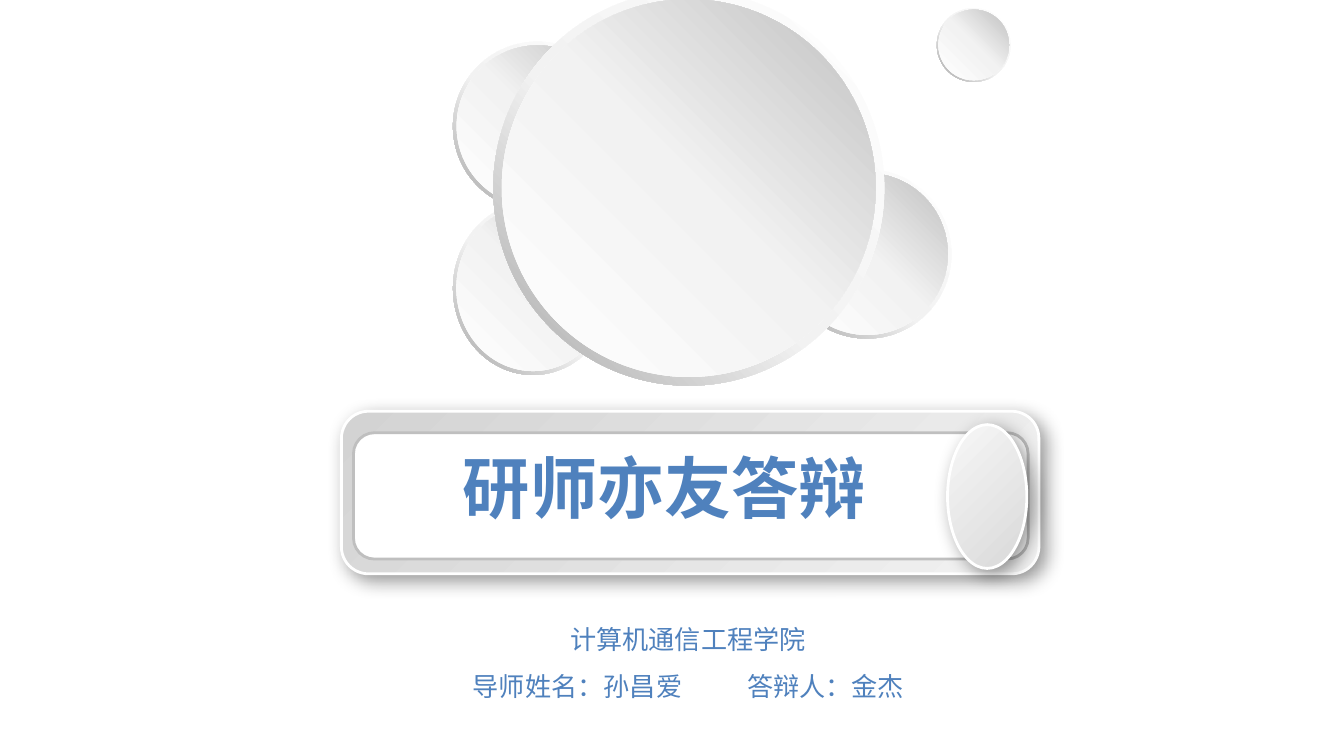
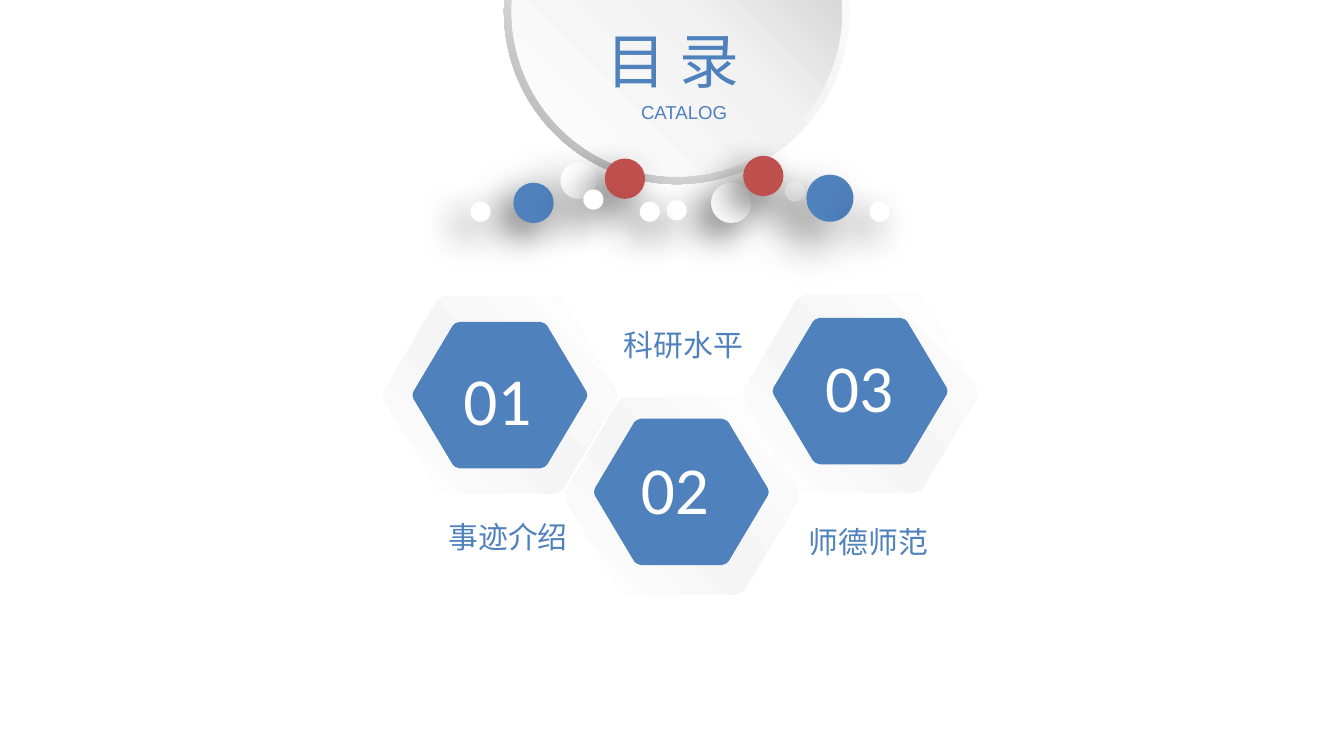
import lxml.etree
import pptx
import pptx.dml.color
import pptx.enum.shapes
import pptx.enum.text
import pptx.oxml.ns
import pptx.util

Inches = pptx.util.Inches
Pt = pptx.util.Pt
SHAPE = pptx.enum.shapes.MSO_SHAPE
ALIGN = pptx.enum.text.PP_ALIGN
ANCHOR = pptx.enum.text.MSO_ANCHOR
qn = pptx.oxml.ns.qn
rgb = pptx.dml.color.RGBColor.from_string

COLORS = {
    "white": "FFFFFF",
    "blue": "4F81BD",
    "red": "C0504D",
    "edge": "BFBFBF",
    "shadow": "000000",
}
GRADIENTS = {
    "rim": (135, [(0, "FFFFFF"), (55, "F2F2F2"), (100, "A6A6A6")]),
    "disc": (315, [(0, "FFFFFF"), (51, "F2F2F2"), (100, "BFBFBF")]),
    "plate": (45, [(0, "D3D3D3"), (100, "F2F2F2")]),
    "knob": (45, [(0, "F7F7F7"), (100, "D9D9D9")]),
    "hexagon": (315, [(0, "FFFFFF"), (47, "F5F5F5"), (100, "FFFFFF")]),
}


def paint(shape, fill, line=None, shadow=None):
    if fill in GRADIENTS:
        angle, stops = GRADIENTS[fill]
        shape.fill.gradient()
        shape.fill.gradient_angle = 360 - angle
        stop_list = shape.element.spPr.find(qn("a:gradFill")).find(qn("a:gsLst"))
        for stop in list(stop_list):
            stop_list.remove(stop)
        for position, color in stops:
            stop = lxml.etree.SubElement(stop_list, qn("a:gs"), pos=str(position * 1000))
            lxml.etree.SubElement(stop, qn("a:srgbClr"), val=color)
    else:
        shape.fill.solid()
        shape.fill.fore_color.rgb = rgb(COLORS[fill])
    if line:
        shape.line.color.rgb = rgb(COLORS[line])
        shape.line.width = Pt(1.5)
    else:
        shape.line.fill.background()
    shape.shadow.inherit = False
    if shadow:
        alpha, blur, distance, angle = shadow
        effects = shape.element.spPr.find(qn("a:effectLst"))
        outer = lxml.etree.SubElement(
            effects, qn("a:outerShdw"), blurRad=str(Pt(blur)), dist=str(Pt(distance)),
            dir=str(angle * 60000), algn="ctr", rotWithShape="0")
        color = lxml.etree.SubElement(outer, qn("a:srgbClr"), val=COLORS["shadow"])
        lxml.etree.SubElement(color, qn("a:alpha"), val=str(alpha * 1000))


def write(box, place, text, size, font="Arial", color="blue", align=ALIGN.LEFT, bold=False):
    box.left, box.top, box.width, box.height = [Inches(length) for length in place]
    frame = box.text_frame
    frame.text = text
    frame.word_wrap = True
    frame.auto_size = pptx.enum.text.MSO_AUTO_SIZE.NONE
    frame.vertical_anchor = ANCHOR.TOP
    for para in frame.paragraphs:
        para.alignment = align
        for span in para.runs:
            span.font.size = Pt(size)
            span.font.name = font
            span.font.bold = bold
            span.font.color.rgb = rgb(COLORS[color])
            east_asian = lxml.etree.SubElement(span.font._element, qn("a:ea"))
            east_asian.set("typeface", font)


deck = pptx.Presentation()
deck.slide_width = Inches(10)
deck.slide_height = deck.slide_width * 9 // 16
cover, catalog = [deck.slides.add_slide(deck.slide_layouts[5]) for _ in range(2)]

medallions = [
    (cover, 3.37, 0.31, 1.26, 1.26),
    (cover, 5.82, 1.26, 1.26, 1.26),
    (cover, 3.37, 1.5, 1.19, 1.29),
    (cover, 3.67, -0.07, 2.91, 2.94),
    (cover, 6.97, 0.06, 0.55, 0.55),
    (catalog, 3.75, -1.2, 2.57, 2.57),
]
inset = 0.022
for page, left, top, width, height in medallions:
    rim = page.shapes.add_shape(
        SHAPE.DONUT, Inches(left), Inches(top), Inches(width), Inches(height))
    rim.adjustments[0] = 0.049
    paint(rim, "rim")
    disc = page.shapes.add_shape(
        SHAPE.OVAL, Inches(left + inset * width), Inches(top + inset * height),
        Inches(width * (1 - 2 * inset)), Inches(height * (1 - 2 * inset)))
    paint(disc, "disc")

plate_shadow = (40, 10, 4, 45)
for kind, place, fill, line, shadow in [
    (SHAPE.ROUNDED_RECTANGLE, (2.54, 3.06, 5.19, 1.21), "plate", "white", plate_shadow),
    (SHAPE.ROUNDED_RECTANGLE, (2.63, 3.22, 5.02, 0.94), "white", "edge", None),
    (SHAPE.OVAL, (7.05, 3.16, 0.59, 1.07), "knob", "white", plate_shadow),
]:
    part = cover.shapes.add_shape(kind, *[Inches(length) for length in place])
    paint(part, fill, line, shadow)

title = cover.shapes.title
write(title, (1.46, 3.27, 6.97, 0.71), "研师亦友答辩", 36, align=ALIGN.CENTER, bold=True)
cover.shapes.element.append(title.element)

people = cover.shapes.add_textbox(0, 0, 0, 0)
write(people, (2.34, 4.47, 5.56, 0.77),
      "计算机通信工程学院\n\t导师姓名：孙昌爱\t答辩人：金杰", 14, align=ALIGN.CENTER)
for para in people.text_frame.paragraphs:
    para.line_spacing = 1.5
names = people.text_frame.paragraphs[1]
names.alignment = ALIGN.LEFT
tabs = lxml.etree.SubElement(names._p.get_or_add_pPr(), qn("a:tabLst"))
for position in (1.08, 3.12):
    lxml.etree.SubElement(tabs, qn("a:tab"), pos=str(Inches(position)), algn="l")

near_shadow = (60, 20, 10, 135)
far_shadow = (50, 25, 15, 135)
beads = [
    (5.29, 1.36, 0.3, "white", near_shadow),
    (4.96, 1.49, 0.15, "white", near_shadow),
    (5.84, 1.35, 0.15, "white", near_shadow),
    (4.17, 1.21, 0.27, "white", far_shadow),
    (4.5, 1.18, 0.3, "red", near_shadow),
    (4.76, 1.5, 0.15, "white", near_shadow),
    (6, 1.3, 0.35, "blue", far_shadow),
    (3.82, 1.36, 0.3, "blue", near_shadow),
    (3.5, 1.5, 0.15, "white", near_shadow),
    (5.53, 1.16, 0.3, "red", near_shadow),
    (4.34, 1.41, 0.15, "white", near_shadow),
    (6.47, 1.5, 0.15, "white", near_shadow),
]
for left, top, size, fill, shadow in beads:
    bead = catalog.shapes.add_shape(
        SHAPE.OVAL, Inches(left), Inches(top), Inches(size), Inches(size))
    paint(bead, fill, shadow=shadow)

title = catalog.shapes.title
write(title, (4.41, 0.13, 1.35, 0.64), "目 录", 32, font="Noto Sans CJK SC")
catalog.shapes.element.append(title.element)

subtitle = catalog.shapes.add_textbox(0, 0, 0, 0)
write(subtitle, (4.34, 0.62, 1.5, 0.42), "CATALOG", 10, align=ALIGN.CENTER)
frame = subtitle.text_frame
frame.vertical_anchor = ANCHOR.MIDDLE
frame.margin_left = frame.margin_right = Inches(0.07)
frame.margin_top = frame.margin_bottom = Inches(0.04)

corner = [(1, 0), (0.99, 0.05), (0.54, 0.95), (0.51, 0.98), (0.46, 1)]
outline = []
for flip_x, flip_y, step in [(1, 1, 1), (-1, 1, -1), (-1, -1, 1), (1, -1, -1)]:
    outline += [(flip_x * x, flip_y * y) for x, y in corner[::step]]

sections = [
    ("03", 6.4, 2.93, 2.91, (6.04, 2.52, 0.85, 0.71)),
    ("01", 3.72, 2.94, 2.94, (3.35, 2.62, 0.88, 0.71)),
    ("02", 5.07, 3.69, 3.66, (4.67, 3.28, 0.86, 0.71)),
]
for number, center_x, frame_y, core_y, number_place in sections:
    for width, height, center_y, fill in [
        (1.75, 1.49, frame_y, "white"),
        (1.74, 1.47, frame_y, "hexagon"),
        (1.3, 1.09, core_y, "blue"),
    ]:
        points = [(Inches(center_x + x * width / 2), Inches(center_y + y * height / 2))
                  for x, y in outline]
        builder = catalog.shapes.build_freeform(*points[0])
        builder.add_line_segments(points[1:], close=True)
        paint(builder.convert_to_shape(), fill)
    write(catalog.shapes.add_textbox(0, 0, 0, 0), number_place, number, 36,
          font="Calibri", color="white")

for label, place, align in [
    ("事迹介绍", (3.24, 3.81, 1.12, 0.37), ALIGN.LEFT),
    ("科研水平", (4.42, 2.38, 1.33, 0.37), ALIGN.CENTER),
    ("师德师范", (5.92, 3.85, 1.12, 0.37), ALIGN.LEFT),
]:
    write(catalog.shapes.add_textbox(0, 0, 0, 0), place, label, 16, align=align)

deck.save("out.pptx")
